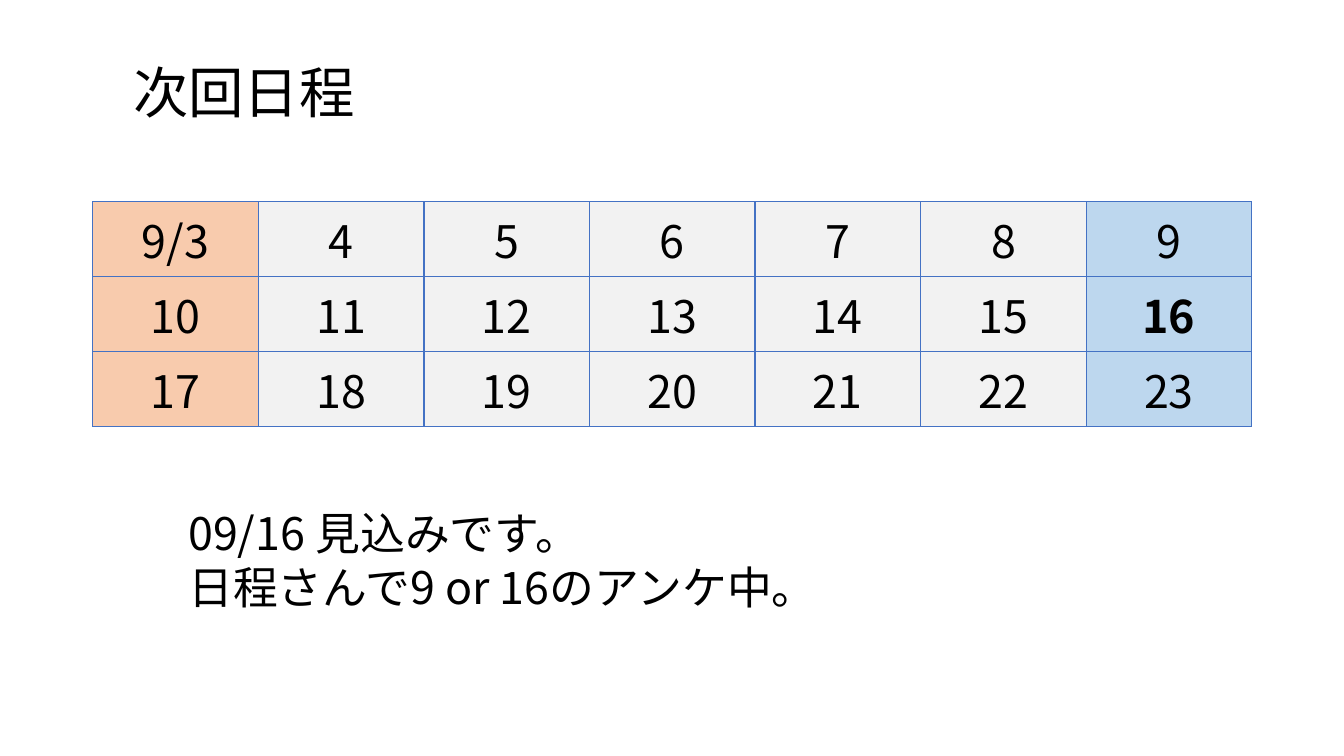
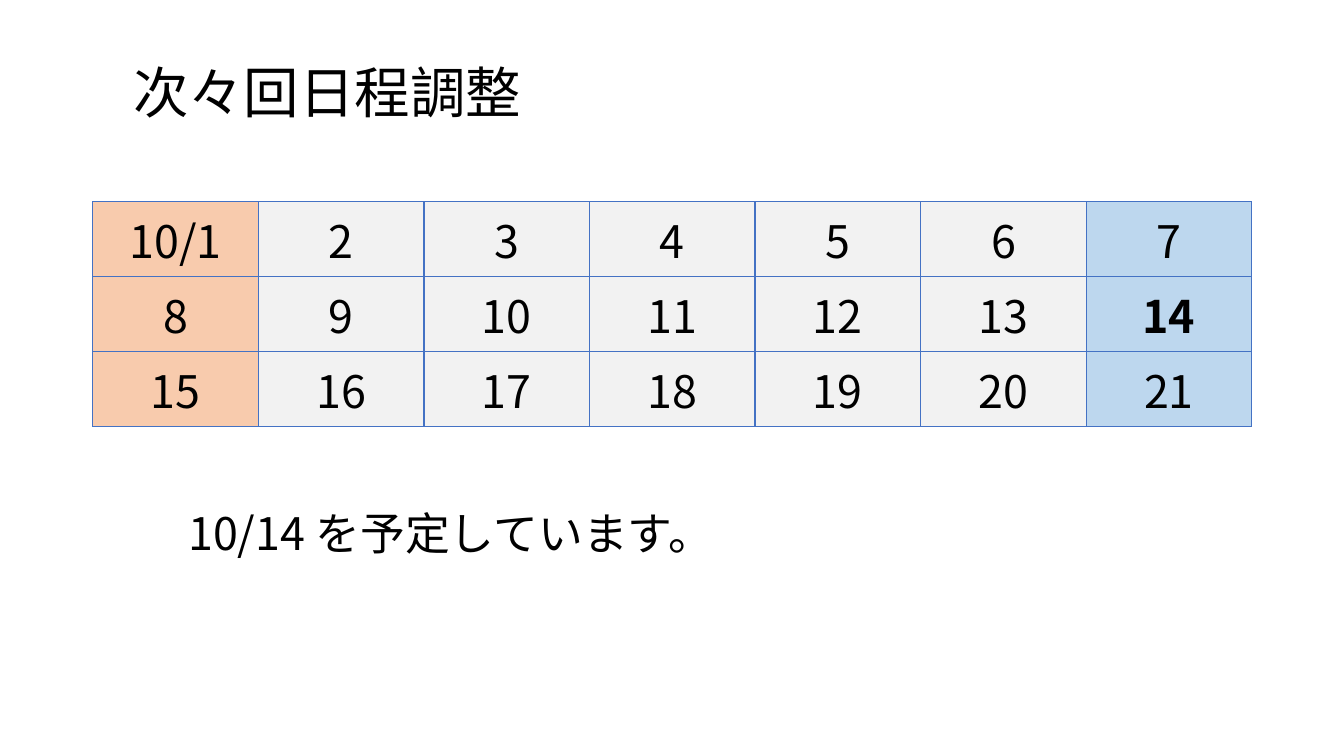
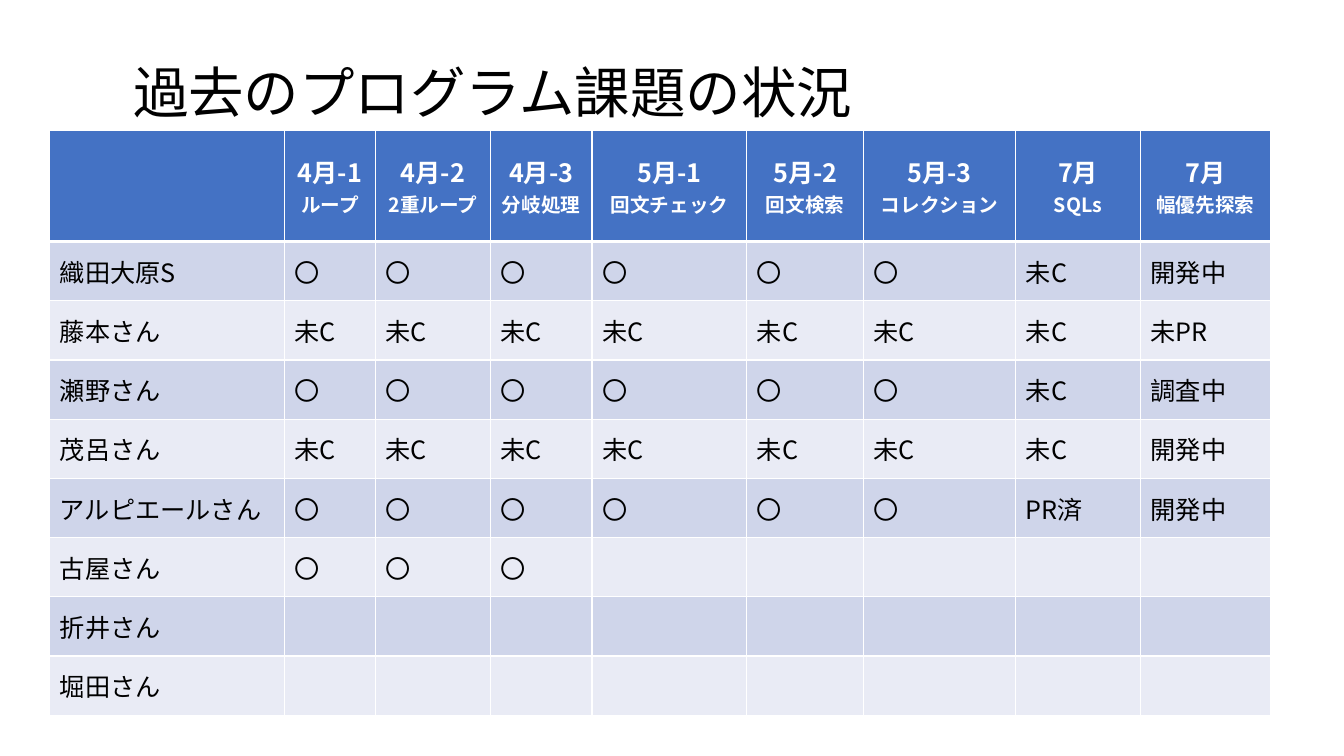
from dataclasses import dataclass

import lxml.etree
import pptx
import pptx.dml.color
import pptx.enum.text
import pptx.oxml.ns
import pptx.slide
import pptx.table
import pptx.text.text
import pptx.util

Pt = pptx.util.Pt
Align = pptx.enum.text.PP_ALIGN
Anchor = pptx.enum.text.MSO_ANCHOR
qn = pptx.oxml.ns.qn

FONT = "Noto Sans CJK JP"
COLORS = {
    "text": "000000",
    "white": "FFFFFF",
    "blue": "4472C4",
    "sunday": "F8CBAD",
    "weekday": "F2F2F2",
    "saturday": "BDD7EE",
    "odd_row": "CFD5EA",
    "even_row": "E9EBF5",
}
DAYS = 7
WEEKS = 3


@dataclass(frozen=True)
class Style:
    """Look of a run of text."""
    size: float
    color: str = "text"
    bold: bool = False


@dataclass(frozen=True)
class Frame:
    """Place of a text box, in points."""
    left: float
    top: float
    width: float
    height: float


@dataclass(frozen=True)
class Schedule:
    """Three weeks of dates, the chosen day and the notes below."""
    title: str
    month: int
    first_day: int
    chosen_day: int
    notes: tuple[str, ...]


@dataclass(frozen=True)
class Task:
    """A column of the status table."""
    month: str
    topic: str
    width: float


TITLE_STYLE = Style(39.6)
LARGE = Style(32)
LARGE_BOLD = Style(32, bold=True)
BODY = Style(18)
HEADER = Style(18, "white", True)
TOPIC = Style(14, "white", True)

TITLE_FRAME = Frame(88, 43.2, 800, 49.7)
NOTE_FRAME = Frame(127.4, 357.8, 732, 46)

CALENDAR_LEFT, CALENDAR_TOP = 66.3, 144
DAY_WIDTH, WEEK_HEIGHT = 118.28, 53.6
STATUS_LEFT, STATUS_TOP = 35.6, 92.9
NAME_WIDTH = 167.6
HEADER_HEIGHT, MEMBER_HEIGHT = 79.7, 42.3

SCHEDULES = (
    Schedule("次回日程", 9, 3, 16,
             ("09/16 見込みです。", "日程さんで9 or 16のアンケ中。")),
    Schedule("次々回日程調整", 10, 1, 14, ("10/14 を予定しています。",)),
)

TASKS = (
    Task("4月-1", "ループ", 65),
    Task("4月-2", "2重ループ", 82.1),
    Task("4月-3", "分岐処理", 72.6),
    Task("5月-1", "回文チェック", 110.6),
    Task("5月-2", "回文検索", 83.5),
    Task("5月-3", "コレクション", 108.6),
    Task("7月", "SQLs", 89.2),
    Task("7月", "幅優先探索", 92.8),
)
DONE = "〇"
OPEN = "未C"
MEMBERS = {
    "織田大原S": [DONE] * 6 + [OPEN, "開発中"],
    "藤本さん": [OPEN] * 7 + ["未PR"],
    "瀬野さん": [DONE] * 6 + [OPEN, "調査中"],
    "茂呂さん": [OPEN] * 7 + ["開発中"],
    "アルピエールさん": [DONE] * 6 + ["PR済", "開発中"],
    "古屋さん": [DONE] * 3,
    "折井さん": [],
    "堀田さん": [],
}


def rgb(name: str) -> pptx.dml.color.RGBColor:
    """Return a palette colour."""
    return pptx.dml.color.RGBColor.from_string(COLORS[name])


def add_run(para, text: str, style: Style) -> None:
    """Add one styled run to a paragraph."""
    span = para.add_run()
    span.text = text
    span.font.name = FONT
    span.font.size = Pt(style.size)
    span.font.bold = style.bold
    span.font.color.rgb = rgb(style.color)
    latin = span._r.get_or_add_rPr().find(qn("a:latin"))
    east_asian = lxml.etree.Element(qn("a:ea"), typeface=FONT)
    latin.addnext(east_asian)


def write_lines(frame: pptx.text.text.TextFrame,
                lines: list[tuple[str, Style]],
                align: Align = Align.LEFT, spacing: float = 1.0) -> None:
    """Write each line as a paragraph."""
    for index, (text, style) in enumerate(lines):
        para = frame.add_paragraph() if index else frame.paragraphs[0]
        para.alignment = align
        para.line_spacing = spacing
        add_run(para, text, style)


def add_text_box(page: pptx.slide.Slide, place: Frame) -> pptx.text.text.TextFrame:
    """Add a wrapping text box and return its text frame."""
    box = page.shapes.add_textbox(Pt(place.left), Pt(place.top),
                                  Pt(place.width), Pt(place.height))
    box.text_frame.word_wrap = True
    return box.text_frame


def add_page(deck, title: str) -> pptx.slide.Slide:
    """Add a blank page with the shared title."""
    page = deck.slides.add_slide(deck.slide_layouts[6])
    frame = add_text_box(page, TITLE_FRAME)
    frame.vertical_anchor = Anchor.MIDDLE
    write_lines(frame, [(title, TITLE_STYLE)], spacing=0.9)
    return page


def add_grid(page: pptx.slide.Slide, left: float, top: float,
             widths: list[float], heights: list[float]) -> pptx.table.Table:
    """Add an unbanded table with the given column widths and row heights."""
    table = page.shapes.add_table(
        len(heights), len(widths), Pt(left), Pt(top),
        Pt(sum(widths)), Pt(sum(heights))).table
    table.first_row = False
    table.horz_banding = False
    for column, width in zip(table.columns, widths):
        column.width = Pt(width)
    for row, height in zip(table.rows, heights):
        row.height = Pt(height)
    return table


def style_cell(cell, fill: str, border: str,
               top: float = 1, bottom: float = 1) -> None:
    """Set the borders, fill and anchor of a cell."""
    properties = cell._tc.get_or_add_tcPr()
    for side, weight in (("L", 1), ("R", 1), ("T", top), ("B", bottom)):
        line = lxml.etree.SubElement(properties, qn(f"a:ln{side}"), w=str(Pt(weight)))
        solid = lxml.etree.SubElement(line, qn("a:solidFill"))
        lxml.etree.SubElement(solid, qn("a:srgbClr"), val=COLORS[border])
    cell.fill.solid()
    cell.fill.fore_color.rgb = rgb(fill)
    cell.vertical_anchor = Anchor.MIDDLE


def add_schedule(deck, schedule: Schedule) -> None:
    """Add a page with a calendar and its notes."""
    page = add_page(deck, schedule.title)
    table = add_grid(page, CALENDAR_LEFT, CALENDAR_TOP,
                     [DAY_WIDTH] * DAYS, [WEEK_HEIGHT] * WEEKS)
    fills = ["sunday"] + ["weekday"] * (DAYS - 2) + ["saturday"]
    for offset in range(WEEKS * DAYS):
        week, weekday = divmod(offset, DAYS)
        day = schedule.first_day + offset
        label = str(day) if offset else f"{schedule.month}/{day}"
        style = LARGE_BOLD if day == schedule.chosen_day else LARGE
        cell = table.cell(week, weekday)
        style_cell(cell, fills[weekday], "blue")
        write_lines(cell.text_frame, [(label, style)], Align.CENTER)
    write_lines(add_text_box(page, NOTE_FRAME), [(note, LARGE) for note in schedule.notes])


def add_status(deck) -> None:
    """Add the page with every member's task status."""
    page = add_page(deck, "過去のプログラム課題の状況")
    widths = [NAME_WIDTH] + [task.width for task in TASKS]
    heights = [HEADER_HEIGHT] + [MEMBER_HEIGHT] * len(MEMBERS)
    table = add_grid(page, STATUS_LEFT, STATUS_TOP, widths, heights)
    for column in range(len(widths)):
        style_cell(table.cell(0, column), "blue", "white", bottom=3)
    for column, task in enumerate(TASKS, start=1):
        write_lines(table.cell(0, column).text_frame,
                    [(task.month, HEADER), (task.topic, TOPIC)], Align.CENTER)
    for row, (name, states) in enumerate(MEMBERS.items(), start=1):
        fill = "odd_row" if row % 2 else "even_row"
        for column in range(len(widths)):
            style_cell(table.cell(row, column), fill, "white", top=3 if row == 1 else 1)
        for column, text in enumerate([name, *states]):
            write_lines(table.cell(row, column).text_frame, [(text, BODY)])


def main() -> None:
    """Build and save the deck."""
    deck = pptx.Presentation()
    deck.slide_width = Pt(960)
    deck.slide_height = Pt(540)
    for schedule in SCHEDULES:
        add_schedule(deck, schedule)
    add_status(deck)
    deck.save("out.pptx")


main()
